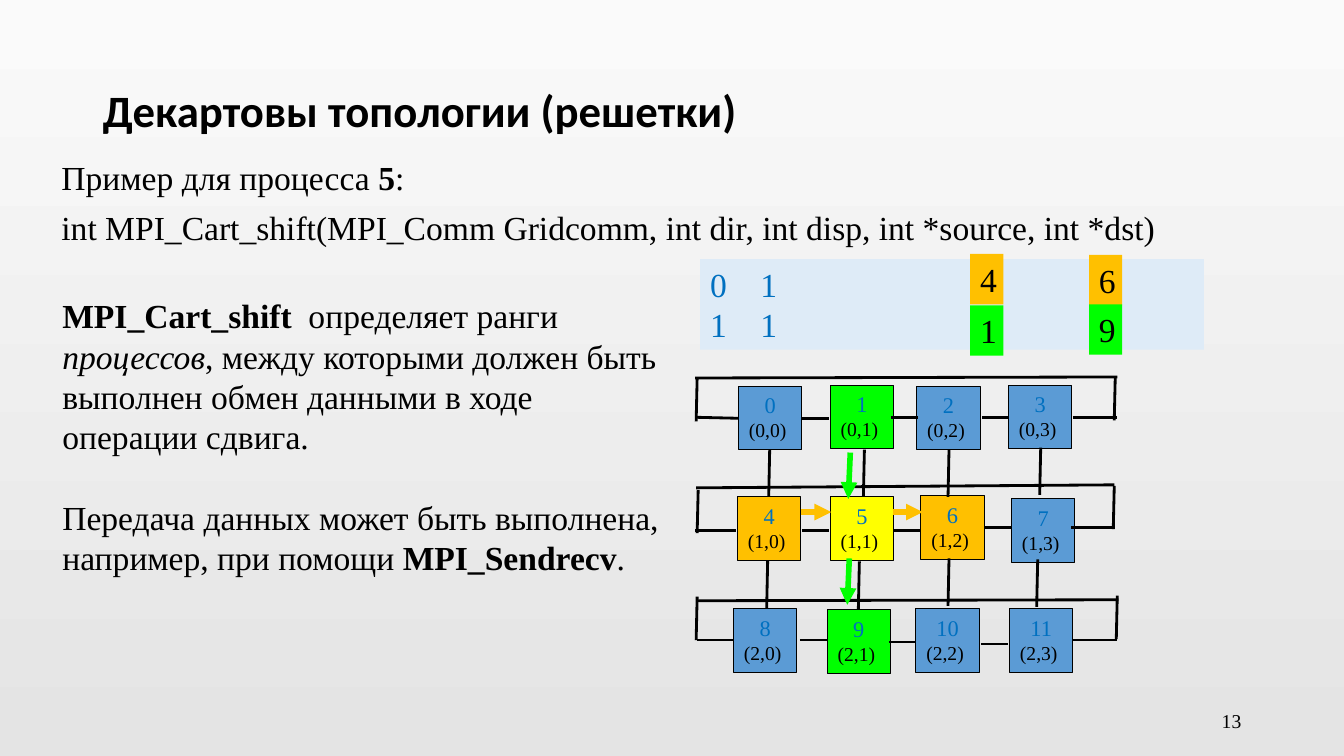
from lxml import etree
from pptx import Presentation
from pptx import util as u
from pptx.dml.color import RGBColor
from pptx.enum import shapes, text
from pptx.oxml import ns

BLACK = RGBColor(0x00, 0x00, 0x00)
BLUE = RGBColor(0x5B, 0x9B, 0xD5)
PALE_BLUE = RGBColor(0xDE, 0xEB, 0xF7)
TEXT_BLUE = RGBColor(0x00, 0x70, 0xC0)
GREEN = RGBColor(0x00, 0xFF, 0x00)
ORANGE = RGBColor(0xFF, 0xC0, 0x00)
YELLOW = RGBColor(0xFF, 0xFF, 0x00)
BACKGROUND = (RGBColor(0xFA, 0xFA, 0xFA), RGBColor(0xE4, 0xE4, 0xE4))
SERIF = "Times New Roman"

# A paragraph is a list of (text, style) spans: "b" is bold, "i" is italic.
TITLE = [[("Декартовы топологии (решетки)", "b")]]
CALL = [
    [("Пример для процесса ", ""), ("5", "b"), (":", "")],
    [("int MPI_Cart_shift(MPI_Comm Gridcomm, int dir, int disp, int *source, int *dst)", "")],
]
EXPLANATION = [
    [("MPI_Cart_shift", "b"), ("  определяет ранги ", ""), ("процессов", "i"),
     (", между которыми должен быть выполнен обмен данными в ходе операции сдвига.", "")],
    [("Передача данных может быть выполнена, например, при помощи ", ""),
     ("MPI_Sendrecv", "b"), (".", "")],
]
PAGE_NUMBER = [[("13", "")]]
ARGUMENTS = [[("0\t1", "")], [("1\t1", "")]]
RESULTS = [("4", 9.63, 2.52, ORANGE), ("1", 9.63, 3.03, GREEN),
           ("6", 10.81, 2.53, ORANGE), ("9", 10.81, 3.02, GREEN)]

COLUMNS = 4
NODE_SIZE = 0.63
NODES = [  # left, top, in order of rank
    (7.33, 3.83), (8.24, 3.82), (9.1, 3.83), (10.01, 3.82),
    (7.32, 4.93), (8.24, 4.93), (9.14, 4.92), (10.04, 4.95),
    (7.28, 6.04), (8.21, 6.05), (9.09, 6.04), (10.02, 6.04),
]
NODE_FILLS = {1: GREEN, 9: GREEN, 4: ORANGE, 6: ORANGE, 5: YELLOW}

# Lines of one length: (dx, dy) and the points they start from
LINKS = [
    ((-0.01, 0.47), [(7.64, 4.46), (8.58, 4.46), (9.42, 4.46), (10.33, 4.44),
                     (7.62, 5.56), (8.53, 5.57), (9.42, 5.54), (10.3, 5.55)]),
    ((0.27, 0), [(7.96, 4.15), (8.84, 4.14), (9.75, 4.14),
                 (7.96, 5.26), (8.87, 5.26), (9.77, 5.23),
                 (7.94, 6.35), (8.82, 6.37), (9.74, 6.39)]),
    ((-0.01, 0.43), [(6.92, 3.75), (6.93, 4.86), (6.92, 5.92),
                     (11.07, 3.74), (11.06, 4.82), (11.09, 5.91)]),
    ((0.44, 0), [(10.65, 4.14), (10.63, 5.23), (10.65, 6.35)]),
    ((0.42, 0.01), [(6.91, 4.14)]),
    ((0.41, 0), [(6.9, 5.26)]),
    ((0.36, 0), [(6.92, 6.35)]),
    ((4.19, -0.01), [(6.9, 3.75), (6.91, 5.96)]),
    ((4.15, -0.03), [(6.91, 4.84)]),
]
SHIFTS = [
    ((0.3, 0), [(7.95, 5.08), (8.86, 5.08)], ORANGE),
    ((-0.02, 0.46), [(8.44, 4.49), (8.43, 5.54)], GREEN),
]


def write(shape, paragraphs, size=24, color=BLACK, font=SERIF, gap=0, spacing=None,
          align=text.PP_ALIGN.LEFT, anchor=text.MSO_ANCHOR.TOP):
    frame = shape.text_frame
    frame.word_wrap = True
    frame.auto_size = text.MSO_AUTO_SIZE.NONE
    frame.vertical_anchor = anchor
    for index, spans in enumerate(paragraphs):
        para = frame.add_paragraph() if index else frame.paragraphs[0]
        para.alignment = align
        para.line_spacing = spacing
        para.space_before = u.Pt(gap if index else 0)
        for words, style in spans:
            span = para.add_run()
            span.text = words
            span.font.name = font
            span.font.size = u.Pt(size)
            span.font.color.rgb = color
            span.font.bold = "b" in style
            span.font.italic = "i" in style
    return frame


def place(shape, left, top, width, height):
    shape.left, shape.top = u.Inches(left), u.Inches(top)
    shape.width, shape.height = u.Inches(width), u.Inches(height)
    return shape


def add_text(page, area, paragraphs, **style):
    box = page.shapes.add_textbox(*map(u.Inches, area))
    return write(box, paragraphs, **style)


def add_box(page, area, fill, outlined=False):
    box = page.shapes.add_shape(shapes.MSO_SHAPE.RECTANGLE, *map(u.Inches, area))
    box.shadow.inherit = False
    box.fill.solid()
    box.fill.fore_color.rgb = fill
    if outlined:
        box.line.color.rgb = BLACK
        box.line.width = u.Pt(0.75)
    else:
        box.line.fill.background()
    return box


def add_lines(page, step, starts, color, width, arrow=False):
    for x, y in starts:
        ends = (x, y, x + step[0], y + step[1])
        line = page.shapes.add_connector(shapes.MSO_CONNECTOR.STRAIGHT, *map(u.Inches, ends))
        line.line.color.rgb = color
        line.line.width = u.Pt(width)
        if arrow:
            etree.SubElement(line.line._ln, ns.qn("a:tailEnd"), type="triangle")
        etree.SubElement(line._element.spPr, ns.qn("a:effectLst"))


def add_node(page, rank, left, top):
    box = add_box(page, (left, top, NODE_SIZE, NODE_SIZE), NODE_FILLS.get(rank, BLUE), True)
    row, column = divmod(rank, COLUMNS)
    frame = write(box, [[(str(rank), "")], [(f"({row},{column}) ", "")]],
                  size=16, color=TEXT_BLUE, align=text.PP_ALIGN.CENTER)
    frame.word_wrap = False
    coordinates = frame.paragraphs[1].runs[0].font
    coordinates.size = u.Pt(14)
    coordinates.color.rgb = BLACK


def main():
    deck = Presentation()
    deck.slide_width, deck.slide_height = u.Inches(13.34), u.Inches(7.5)
    page = deck.slides.add_slide(deck.slide_layouts[1])
    background = page.background.fill
    background.gradient()
    background.gradient_angle = 270
    for stop, color in zip(background.gradient_stops, BACKGROUND):
        stop.color.rgb = color

    title = place(page.shapes.title, 0.92, 0.4, 11.5, 1.45)
    write(title, TITLE, size=32, font="Calibri", spacing=0.9, anchor=text.MSO_ANCHOR.MIDDLE)
    body = place(page.placeholders[1], 0.51, 1.55, 11.89, 1.06)
    for para in write(body, CALL, gap=10, spacing=0.9).paragraphs:
        properties = para._p.get_or_add_pPr()
        properties.set("marL", "0")
        properties.set("indent", "0")
        etree.SubElement(properties, ns.qn("a:buNone"))
    add_text(page, (9.42, 6.95, 3, 0.4), PAGE_NUMBER, size=14,
             align=text.PP_ALIGN.RIGHT, anchor=text.MSO_ANCHOR.MIDDLE)

    for rank, corner in enumerate(NODES):
        add_node(page, rank, *corner)
    for step, starts in LINKS:
        add_lines(page, step, starts, BLACK, 2)

    write(add_box(page, (6.95, 2.57, 5, 0.9), PALE_BLUE), ARGUMENTS, color=TEXT_BLUE)
    for value, left, top, fill in RESULTS:
        write(add_box(page, (left, top, 0.33, 0.5), fill), [[(value, "")]])
    for step, starts, color in SHIFTS:
        add_lines(page, step, starts, color, 4, arrow=True)
    add_text(page, (0.52, 2.88, 6.19, 2.9), EXPLANATION, gap=28.8)
    deck.save("out.pptx")


if __name__ == "__main__":
    main()
